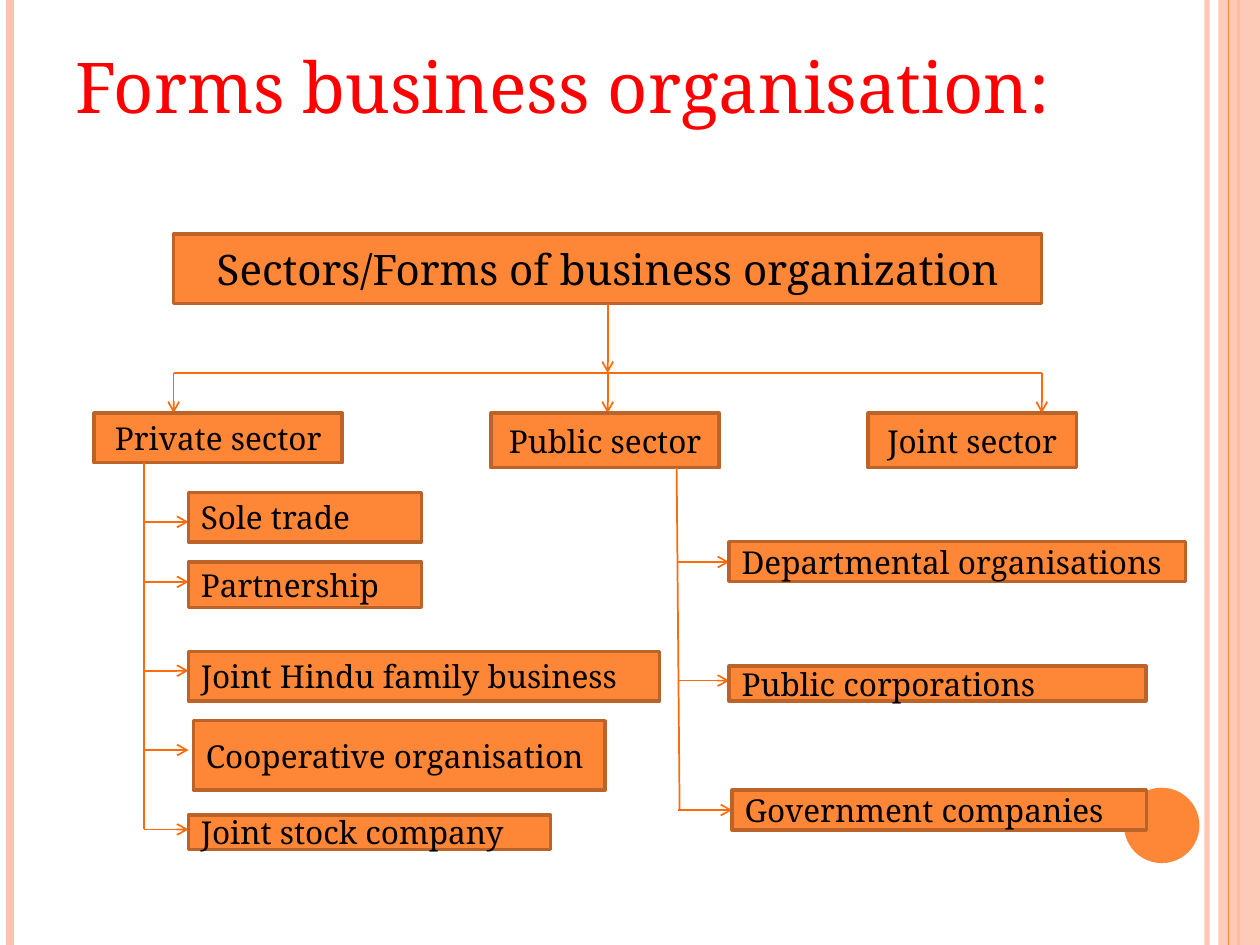
"""Build a slide charting the forms of business organisation by sector."""
from lxml.etree import SubElement
from pptx import Presentation
from pptx.dml.color import RGBColor
from pptx.enum.shapes import MSO_CONNECTOR, MSO_SHAPE
from pptx.enum.text import MSO_ANCHOR, PP_ALIGN
from pptx.oxml.ns import qn
from pptx.util import Cm, Pt

COLORS = {
    "orange": "FE8637",
    "border": "BC6329",
    "arrow": "FF6B0A",
    "peach": "FEC3AE",
    "title": "FF0000",
    "text": "000000",
}
FONT = "Noto Serif"
WIDTH, HEIGHT = 25.4, 19.05
BAR_Y, SECTOR_Y = 7.52, 8.33
PRIVATE_FORMS = [
    ("Sole trade", 3.8, 9.93, 4.7, 1, 10.52),
    ("Partnership", 3.8, 11.33, 4.7, 0.92, 11.73),
    ("Joint Hindu family business", 3.8, 13.13, 9.5, 1, 13.52),
    ("Cooperative organisation", 3.9, 14.53, 8.3, 1.4, 15.12),
    ("Joint stock company", 3.8, 16.43, 7.3, 0.7, 16.72),
]
PUBLIC_FORMS = [
    ("Departmental organisations", 14.7, 10.92, 9.2, 0.8, 11.33),
    ("Public corporations", 14.7, 13.43, 8.4, 0.7, 13.72),
    ("Government companies", 14.76, 15.93, 8.35, 0.8, 16.33),
]


def color(name):
    return RGBColor.from_string(COLORS[name])


def set_opacity(fill_element, percent):
    rgb = next(fill_element.iter(qn("a:srgbClr")))
    SubElement(rgb, qn("a:alpha")).set("val", str(percent * 1000))


def add_line(slide, start, end, line_color="arrow", width=1, arrow=False):
    connector = slide.shapes.add_connector(
        MSO_CONNECTOR.STRAIGHT, *(Cm(value) for value in (*start, *end)))
    connector.line.color.rgb = color(line_color)
    connector.line.width = Pt(width)
    if arrow:
        SubElement(connector.line._get_or_add_ln(), qn("a:tailEnd")).set("type", "arrow")
    SubElement(connector._element.spPr, qn("a:effectLst"))
    return connector


def add_shape(slide, kind, bounds, fill):
    shape = slide.shapes.add_shape(kind, *(Cm(value) for value in bounds))
    shape.shadow.inherit = False
    shape.fill.solid()
    shape.fill.fore_color.rgb = color(fill)
    shape.line.fill.background()
    return shape


def write_text(shape, text, size, text_color="text", alignment=PP_ALIGN.LEFT, before=0):
    text_frame = shape.text_frame
    text_frame.word_wrap = True
    text_frame.text = text
    paragraph = text_frame.paragraphs[0]
    paragraph.alignment = alignment
    paragraph.space_before = Pt(before)
    font = paragraph.runs[0].font
    font.name = FONT
    font.size = Pt(size)
    font.color.rgb = color(text_color)


def add_box(slide, text, bounds, size=18, alignment=PP_ALIGN.CENTER, before=0):
    box = add_shape(slide, MSO_SHAPE.RECTANGLE, bounds, "orange")
    box.line.color.rgb = color("border")
    box.line.width = Pt(2)
    box.text_frame.vertical_anchor = MSO_ANCHOR.MIDDLE
    write_text(box, text, size, alignment=alignment, before=before)


def add_forms(slide, trunk_x, forms):
    for text, left, top, width, height, arrow_y in forms:
        add_line(slide, (trunk_x, arrow_y), (min(left, 3.8) if left < 10 else left, arrow_y),
                 arrow=True)
        add_box(slide, text, (left, top, width, height), alignment=PP_ALIGN.JUSTIFY)


def add_side_rules(slide):
    def add_rule(x, line_color, width):
        return add_line(slide, (x, 0), (x, HEIGHT), line_color, width)

    set_opacity(add_rule(24.33, "peach", 3).line._get_or_add_ln(), 93)
    add_rule(0.2, "peach", 4.5)
    add_rule(24.97, "orange", 1.5)
    band = add_shape(slide, MSO_SHAPE.RECTANGLE, (24.56, 0, 0.84, HEIGHT), "peach")
    set_opacity(band._element.spPr, 87)
    add_rule(24.77, "orange", 0.75)
    add_shape(slide, MSO_SHAPE.OVAL, (22.66, 15.88, 1.52, 1.52), "orange")


def add_title(slide, text):
    title = slide.shapes.add_textbox(Cm(1.27), Cm(0.76), Cm(22.83), Cm(2.3))
    write_text(title, text, 40, "title", before=6)


def add_sectors(slide):
    add_box(slide, "Sectors/Forms of business organization", (3.5, 4.72, 17.5, 1.4), 24, before=6)
    add_line(slide, (12.25, 6.12), (12.25, BAR_Y), arrow=True)
    add_line(slide, (3.5, BAR_Y), (21, BAR_Y))
    for text, arrow_x, left, width, height in (
        ("Private sector", 3.5, 1.9, 5, 1),
        ("Public sector", 12.25, 9.9, 4.6, 1.1),
        ("Joint sector", 21, 17.5, 4.2, 1.1),
    ):
        add_line(slide, (arrow_x, BAR_Y), (arrow_x, SECTOR_Y), arrow=True)
        add_box(slide, text, (left, SECTOR_Y, width, height))


def main():
    presentation = Presentation()
    presentation.slide_width, presentation.slide_height = Cm(WIDTH), Cm(HEIGHT)
    slide = presentation.slides.add_slide(presentation.slide_layouts[6])
    add_side_rules(slide)
    add_title(slide, "Forms business organisation:")
    add_sectors(slide)
    add_line(slide, (2.9, 9.33), (2.9, 16.72))
    add_forms(slide, 2.9, PRIVATE_FORMS)
    add_line(slide, (13.64, 9.43), (13.7, 16.33))
    add_forms(slide, 13.67, PUBLIC_FORMS)
    presentation.save("out.pptx")


main()
